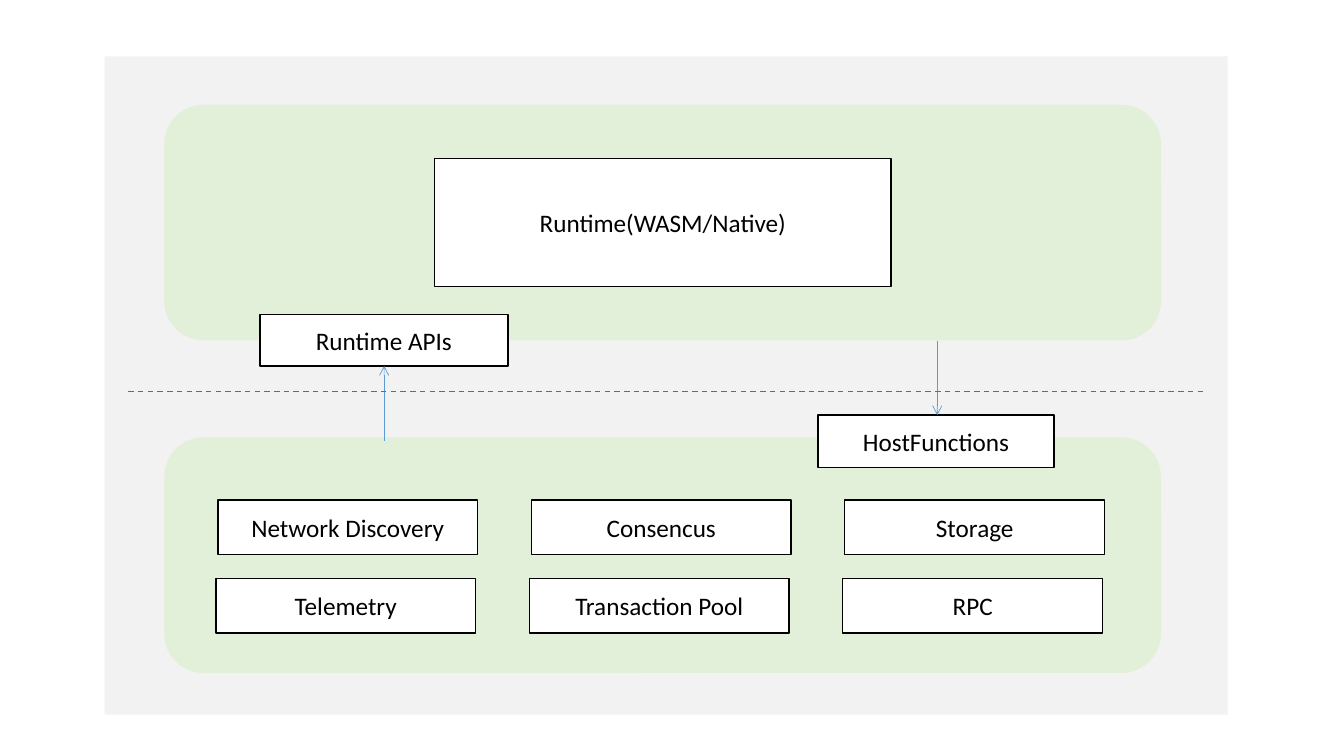
"""Build a slide showing how a runtime and its host node call each other."""
from dataclasses import dataclass

from lxml.etree import SubElement
from pptx import Presentation
from pptx.dml.color import RGBColor
from pptx.enum.dml import MSO_LINE
from pptx.enum.shapes import MSO_CONNECTOR, MSO_SHAPE
from pptx.enum.text import MSO_ANCHOR, PP_ALIGN
from pptx.oxml.ns import qn
from pptx.util import Cm, Pt


@dataclass(frozen=True)
class Theme:
    """Hold the colours, font and sizes of the slide."""
    backdrop: str = "F2F2F2"
    panel: str = "E2F0D9"
    box: str = "FFFFFF"
    ink: str = "000000"
    arrow: str = "5B9BD5"
    divider: str = "43739E"
    font: str = "Calibri"
    text_size: float = 18
    outline: float = 1
    arrow_width: float = 0.5


THEME = Theme()
SERVICES = (
    ("Network Discovery", "Consencus", "Storage"),
    ("Telemetry", "Transaction Pool", "RPC"),
)
SERVICE_ROWS = ((5.49, 12.6), (5.44, 14.58))
SERVICE_PITCH = 7.9


def rgb(color):
    """Turn a hex string into a colour."""
    return RGBColor.from_string(color)


def write_text(s, text, size=THEME.text_size, color=THEME.ink,
               font=THEME.font, align=PP_ALIGN.CENTER):
    """Put one formatted line of text into a shape."""
    tf = s.text_frame
    tf.word_wrap = True
    tf.vertical_anchor = MSO_ANCHOR.MIDDLE
    p = tf.paragraphs[0]
    p.alignment = align
    r = p.add_run()
    r.text = text
    r.font.size = Pt(size)
    r.font.name = font
    r.font.color.rgb = rgb(color)


def add_area(shapes, left, top, width, height, fill, kind=MSO_SHAPE.RECTANGLE):
    """Add a filled shape without outline or shadow."""
    s = shapes.add_shape(kind, Cm(left), Cm(top), Cm(width), Cm(height))
    s.shadow.inherit = False
    s.fill.solid()
    s.fill.fore_color.rgb = rgb(fill)
    s.line.fill.background()
    return s


def add_panel(shapes, top):
    """Add one of the two rounded green panels."""
    add_area(shapes, 4.14, top, 25.12, 5.94, THEME.panel,
             MSO_SHAPE.ROUNDED_RECTANGLE)


def add_box(shapes, text, left, top, width, height):
    """Add a white outlined box with a label."""
    s = add_area(shapes, left, top, width, height, THEME.box)
    s.line.color.rgb = rgb(THEME.ink)
    s.line.width = Pt(THEME.outline)
    write_text(s, text)


def add_line(shapes, x1, y1, x2, y2, color, width):
    """Add a straight line without shadow."""
    s = shapes.add_connector(MSO_CONNECTOR.STRAIGHT,
                             Cm(x1), Cm(y1), Cm(x2), Cm(y2))
    s.line.color.rgb = rgb(color)
    s.line.width = Pt(width)
    SubElement(s.element.spPr, qn("a:effectLst"))
    return s


def add_arrow(shapes, x, start, end):
    """Add a vertical arrow pointing at its end."""
    s = add_line(shapes, x, start, x, end, THEME.arrow, THEME.arrow_width)
    SubElement(s.line._get_or_add_ln(), qn("a:tailEnd"), type="arrow")


def add_divider(shapes, left, right, y):
    """Add the dashed border between runtime and host."""
    s = add_line(shapes, left, y, right, y, THEME.divider, THEME.outline)
    s.line.dash_style = MSO_LINE.DASH


def add_runtime(shapes):
    """Add the runtime panel with its interface."""
    add_panel(shapes, 2.64)
    add_box(shapes, "Runtime(WASM/Native)", 10.95, 3.99, 11.51, 3.23)
    add_box(shapes, "Runtime APIs", 6.55, 7.92, 6.25, 1.3)


def add_host(shapes):
    """Add the host panel with its services and interface."""
    add_panel(shapes, 11.02)
    for names, (left, top) in zip(SERVICES, SERVICE_ROWS):
        for col, name in enumerate(names):
            add_box(shapes, name, left + col * SERVICE_PITCH, top, 6.55, 1.37)
    add_box(shapes, "HostFunctions", 20.62, 10.46, 5.94, 1.32)


def main():
    """Build and save the slide."""
    prs = Presentation()
    prs.slide_width, prs.slide_height = Cm(33.87), Cm(19.05)
    shapes = prs.slides.add_slide(prs.slide_layouts[6]).shapes
    add_area(shapes, 2.64, 1.42, 28.3, 16.59, THEME.backdrop)
    add_runtime(shapes.add_group_shape().shapes)
    add_host(shapes.add_group_shape().shapes)
    add_arrow(shapes, 9.68, 11.1, 9.22)
    add_arrow(shapes, 23.62, 8.59, 10.46)
    add_divider(shapes, 3.23, 30.38, 9.86)
    prs.save("out.pptx")


if __name__ == "__main__":
    main()
